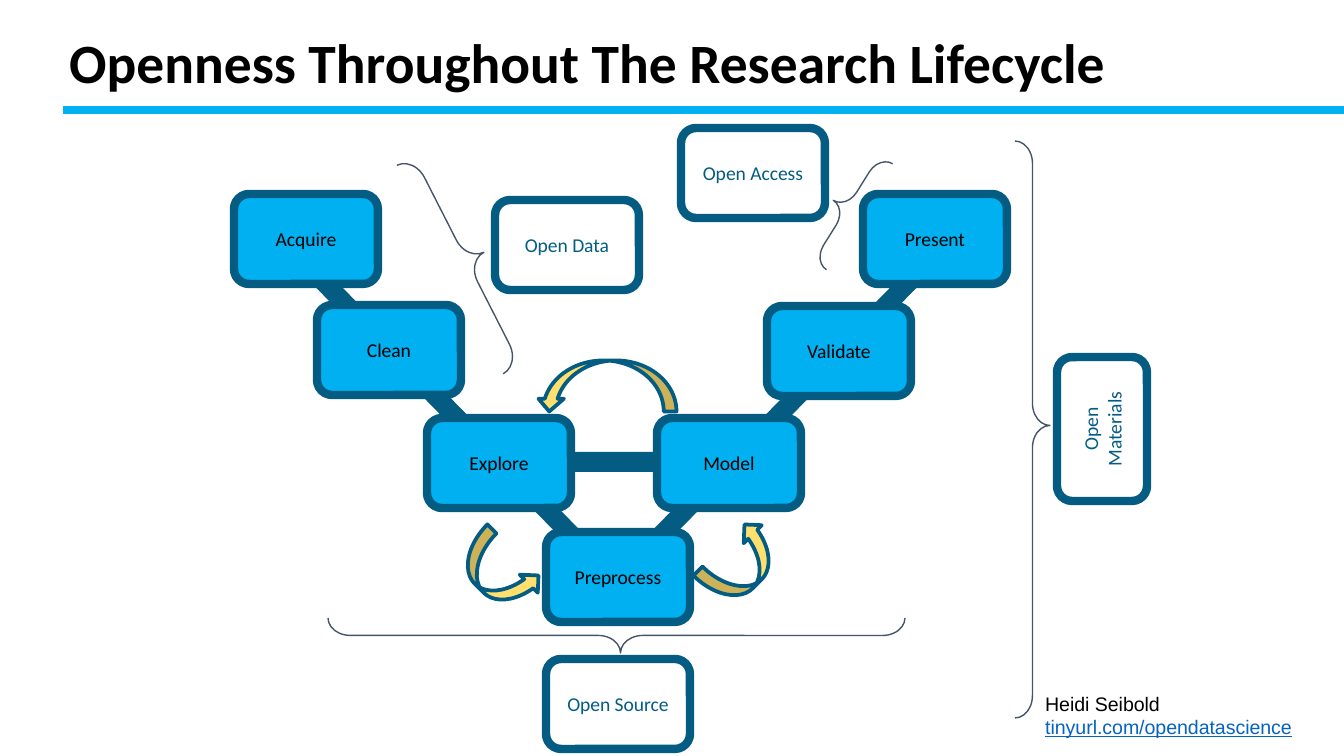
from lxml import etree
from pptx import Presentation, util as u
from pptx.dml.color import RGBColor
from pptx.enum import shapes, text
from pptx.oxml.ns import qn

SCALE = 914400 / 134.4  # EMU per px
COLORS = {
    "black": "000000", "sky": "00B0F0", "deep": "045C83",
    "gold": "FFDF6E", "slate": "44546A", "link": "0563C1",
}
G = shapes.MSO_SHAPE


def px(n):
    return u.Emu(round(n * SCALE))


def rgb(name):
    return RGBColor.from_string(COLORS[name])


class Board:
    """Style and current slide."""
    BOX = (144, 90)

    def __init__(self, prs):
        self.s = prs.slides.add_slide(prs.slide_layouts[6])

    def shape(self, kind, x, y, w, h, fill=None, line=None, pt=1, rot=0, adj=()):
        sp = self.s.shapes.add_shape(kind, px(x), px(y), px(w), px(h))
        sp.shadow.inherit = False
        sp.rotation = rot
        for i, value in enumerate(adj):
            sp.adjustments[i] = value
        if fill:
            sp.fill.solid()
            sp.fill.fore_color.rgb = rgb(fill)
        else:
            sp.fill.background()
        if line:
            sp.line.color.rgb = rgb(line)
            sp.line.width = u.Pt(pt)
        else:
            sp.line.fill.background()
        return sp

    def font(self, p, color, size=10.5, name="Calibri", bold=None):
        p.font.size = u.Pt(size)
        p.font.name = name
        p.font.bold = bold
        p.font.color.rgb = rgb(color)

    def bar(self, x, y, w, h, rot=0):
        self.shape(G.RECTANGLE, x, y, w, h, fill="deep", rot=rot)

    def box(self, label, x, y, fill=None, color="deep", rot=0):
        sp = self.shape(G.ROUNDED_RECTANGLE, x, y, *self.BOX, fill=fill,
                        line="deep", pt=4.5, rot=rot, adj=(0.167,))
        tf = sp.text_frame
        tf.word_wrap = True
        tf.vertical_anchor = text.MSO_ANCHOR.MIDDLE
        tf.margin_left = tf.margin_right = px(9)
        tf.margin_top = tf.margin_bottom = px(5)
        p = tf.paragraphs[0]
        p.text = label
        p.alignment = text.PP_ALIGN.CENTER
        self.font(p, color)

    def arrow(self, x, y, w, h, rot):
        self.shape(G.CURVED_RIGHT_ARROW, x, y, w, h, fill="gold", line="deep",
                   pt=2, rot=rot, adj=(0.25, 0.5, 0.25))

    def brace(self, x, y, w, h, rot, adj):
        self.shape(G.RIGHT_BRACE, x, y, w, h, line="slate", pt=0.75,
                   rot=rot, adj=adj)

    def rule(self, x1, x2, y):
        c = self.s.shapes.add_connector(
            shapes.MSO_CONNECTOR.STRAIGHT, px(x1), px(y), px(x2), px(y))
        c.line.color.rgb = rgb("sky")
        c.line.width = u.Pt(4)
        etree.SubElement(c._element.spPr, qn("a:effectLst"))

    def text_box(self, x, y, w, h, wrap):
        tf = self.s.shapes.add_textbox(px(x), px(y), px(w), px(h)).text_frame
        tf.word_wrap = wrap
        return tf

    def title(self, words, x, y, w, h):
        tf = self.text_box(x, y, w, h, True)
        tf.margin_top = px(13)
        p = tf.paragraphs[0]
        p.text = words
        p.line_spacing = 0.9
        self.font(p, "black", size=29.7, bold=True)

    def credit(self, author, address, x, y, w, h):
        tf = self.text_box(x, y, w, h, False)
        p = tf.paragraphs[0]
        p.text = author
        self.font(p, "black", name="Arial")
        p = tf.add_paragraph()
        p.text = address
        self.font(p, "link", name="Arial")
        p.font.underline = True


def main():
    prs = Presentation()
    prs.slide_width, prs.slide_height = px(1344), px(756)
    b = Board(prs)

    # Bars behind the V of stages
    b.bar(231, 405, 445, 19, rot=45.6)
    b.bar(583, 396, 410, 19, rot=314.4)
    b.bar(573, 452, 101, 20)

    # Research stages
    for label, x, y in [
        ("Acquire", 234, 194), ("Clean", 317, 305), ("Explore", 427, 418),
        ("Model", 657, 418), ("Validate", 767, 306), ("Present", 863, 194),
        ("Preprocess", 546, 532),
    ]:
        b.box(label, x, y, fill="sky", color="black")

    # Iteration arrows
    b.arrow(474, 530, 51, 85, rot=315)
    b.arrow(716, 521, 51, 85, rot=225)
    b.arrow(581, 316, 51, 140, rot=90)

    # Braces with the open practice each one covers
    short, long = (0.619, 0.5), (0.64, 0.493)
    for brace, label, x, y, rot in [
        ((448, 144, 38, 234, 333, short), "Open Data", 495, 200, 0),
        ((599, 347, 35, 577, 90, long), "Open Source", 546, 659, 0),
        ((831, 146, 31, 125, 212, short), "Open Access", 681, 128, 0),
        ((1015, 141, 35, 577, 0, long), "Open Materials", 1030, 384, 270),
    ]:
        b.brace(*brace)
        b.box(label, x, y, rot=rot)

    # Credit, rule and title
    b.credit("Heidi Seibold", "tinyurl.com/opendatascience", 1032, 685, 278, 85)
    b.rule(63, 1344, 110)
    b.title("Openness Throughout The Research Lifecycle", 56, 23, 1219, 146)

    prs.save("out.pptx")


if __name__ == "__main__":
    main()
